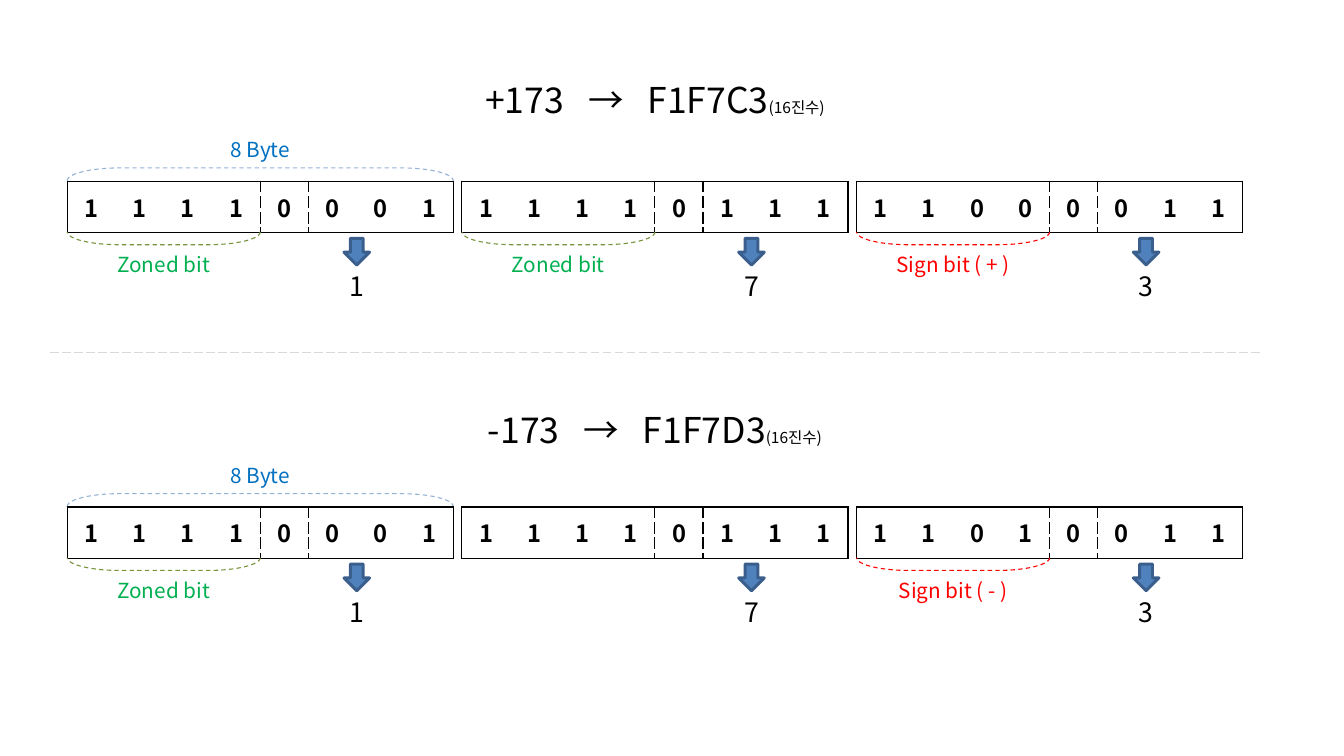
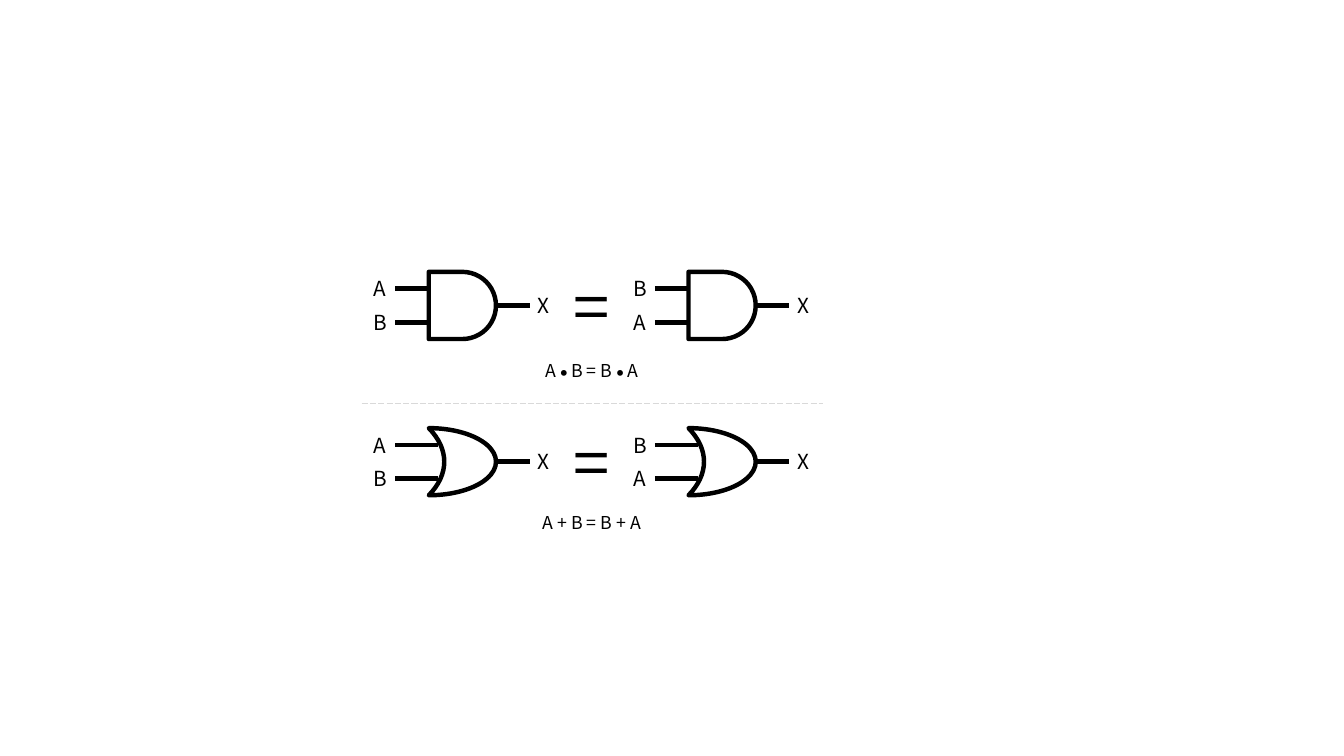
from lxml.etree import SubElement
from pptx import Presentation
from pptx.dml.color import RGBColor as Rgb
from pptx.enum.dml import MSO_LINE as Dash
from pptx.enum.shapes import MSO_CONNECTOR as Connector, MSO_SHAPE as Shape
from pptx.enum.text import MSO_ANCHOR as Anchor, MSO_AUTO_SIZE as AutoSize, PP_ALIGN as Align
from pptx.oxml.ns import qn
from pptx.util import Inches, Pt

COLUMNS, ROWS = 126, 70.9
CELL = Inches(0.1)
FONT, DOT_FONT = "Noto Sans CJK KR", "Cambria"
NO_TABLE_STYLE = "{2D5ABB26-0587-4C30-8999-92F81FD0307C}"
COLORS = {
    "ink": "000000", "rule": "D9D9D9", "byte": "0070C0", "zone": "00B050", "sign": "FF0000",
    "byte_brace": "95B3D7", "zone_brace": "77933C", "arrow": "4F81BD", "arrow_edge": "3A5F8C",
}
BYTE_LEFT, BYTE_STEP, BYTE_WIDTH, BYTE_HEIGHT = 6.3, 37, 36.2, 4.8
NIBBLE = BYTE_WIDTH / 2
BRACE_DEPTH = 1.2
GATE_LEFT, GATE_STEP, GATE_SIZE, LEAD = 40.2, 24.35, 6.3, 3.15
EQUALS_X = 55.5


def color(name):
    return Rgb.from_string(COLORS[name])


def cells(*lengths):
    return [round(length * CELL) for length in lengths]


class Sketch:
    """Draws styled elements on the current page, measured in grid cells."""

    def __init__(self):
        self.deck = Presentation()
        self.deck.slide_width, self.deck.slide_height = cells(COLUMNS, ROWS)
        self.page = None

    def new_page(self):
        self.page = self.deck.slides.add_slide(self.deck.slide_layouts[6])

    def style(self, span, size, ink="ink", font=FONT, bold=False):
        span.font.size, span.font.bold, span.font.name = Pt(size), bold, font
        span.font.color.rgb = color(ink)
        SubElement(span.font._element, qn("a:ea"), typeface=font)

    def span(self, para, text, size, font=FONT, spacing=0):
        span = para.add_run()
        span.text = text
        self.style(span, size, font=font)
        if spacing:
            span.font._element.set("spc", str(spacing))

    def label(self, center, middle, width, text, size, ink="ink"):
        height = size / 6 + 1
        box = self.page.shapes.add_textbox(
            *cells(center - width / 2, middle - height / 2, width, height))
        frame = box.text_frame
        frame.word_wrap, frame.auto_size = True, AutoSize.SHAPE_TO_FIT_TEXT
        frame.vertical_anchor = Anchor.MIDDLE
        frame.text = text
        para = frame.paragraphs[0]
        para.alignment = Align.CENTER
        for span in para.runs:
            self.style(span, size, ink)
        return para

    def outline(self, line, ink, weight, dash=None):
        line.color.rgb, line.width = color(ink), Pt(weight)
        if dash:
            line.dash_style = dash

    def shape(self, kind, left, top, width, height, ink, weight, fill=None, dash=None):
        shape = self.page.shapes.add_shape(kind, *cells(left, top, width, height))
        shape.shadow.inherit = False
        if fill:
            shape.fill.solid()
            shape.fill.fore_color.rgb = color(fill)
        else:
            shape.fill.background()
        self.outline(shape.line, ink, weight, dash)
        return shape

    def line(self, left, right, y, ink="ink", weight=3, dash=None):
        line = self.page.shapes.add_connector(Connector.STRAIGHT, *cells(left, y, right, y))
        self.outline(line.line, ink, weight, dash)
        SubElement(line._element.spPr, qn("a:effectLst"))

    def brace(self, left, top, width, ink, rotation):
        brace = self.shape(
            Shape.RIGHT_BRACKET, left + (width - BRACE_DEPTH) / 2,
            top + (BRACE_DEPTH - width) / 2, BRACE_DEPTH, width, ink, 0.75, dash=Dash.DASH)
        brace.rotation, brace.adjustments[0] = rotation, 4.1

    def border(self, cell, side, dash="solid"):
        edge = SubElement(cell._tc.get_or_add_tcPr(), qn(f"a:ln{side}"), w=str(Pt(1)))
        fill = SubElement(edge, qn("a:solidFill"))
        SubElement(fill, qn("a:srgbClr"), val=COLORS["ink"])
        SubElement(edge, qn("a:prstDash"), val=dash)

    def bits(self, left, top, digits):
        count = len(digits)
        table = self.page.shapes.add_table(
            1, count, *cells(left, top, BYTE_WIDTH, BYTE_HEIGHT)).table
        table.first_row = table.horz_banding = False
        table._tbl.tblPr[0].text = NO_TABLE_STYLE
        left_edges = {0: "solid", count // 2: "lgDash"}
        right_edges = {count // 2 - 1: "lgDash", count - 1: "solid"}
        for index, digit in enumerate(digits):
            cell = table.cell(0, index)
            cell.text, cell.vertical_anchor = digit, Anchor.MIDDLE
            para = cell.text_frame.paragraphs[0]
            para.alignment = Align.CENTER
            self.style(para.runs[0], 16, bold=True)
            for side, edges in (("L", left_edges), ("R", right_edges)):
                if index in edges:
                    self.border(cell, side, edges[index])
            for side in "TB":
                self.border(cell, side)
            cell.fill.background()

    def heading(self, middle, number, code):
        para = self.label(61.4, middle, 57, number, 24)
        for text, spacing in ((" ", 1075), ("→", 0), (" ", 1075), (code, 0)):
            self.span(para, text, 24, spacing=spacing)
        self.span(para, "(16진수)", 10.5)

    def zoned_number(self, top, parts):
        self.label(BYTE_LEFT + NIBBLE, top - 3, 10.4, "8 Byte", 14, "byte")
        self.brace(BYTE_LEFT, top - 1.25, BYTE_WIDTH, "byte_brace", 270)
        for index, (digits, value, caption, kind) in enumerate(parts):
            left = BYTE_LEFT + index * BYTE_STEP
            digit_center = left + NIBBLE * 1.5
            self.bits(left, top, digits)
            if caption:
                brace_ink = "zone_brace" if kind == "zone" else kind
                self.brace(left, top + 4.75, NIBBLE, brace_ink, 90)
                self.label(left + NIBBLE / 2, top + 7.8, 13.8, caption, 14, kind)
            self.shape(Shape.DOWN_ARROW, digit_center - 1.2, top + 5.35, 2.4, 2.5,
                       "arrow_edge", 2, fill="arrow")
            self.label(digit_center, top + 9.8, 6.4, value, 18)

    def gate(self, kind, left, middle, inputs):
        is_or = kind == Shape.MOON
        gate = self.shape(kind, left, middle - GATE_SIZE / 2, GATE_SIZE, GATE_SIZE, "ink", 3)
        if is_or:
            gate.rotation, gate.adjustments[0] = 180, 0.77
        for name, offset in zip(inputs, (-1.58, 1.58)):
            self.line(left - LEAD, left + 0.9 * is_or, middle + offset)
            self.label(left - 4.55, middle + offset, 3.5, name, 14)
        right = left + GATE_SIZE
        self.line(right, right + LEAD, middle)
        self.label(right + 4.45, middle, 3.5, "X", 14)

    def commutative_law(self, kind, middle):
        for index, inputs in enumerate(("AB", "BA")):
            self.gate(kind, GATE_LEFT + index * GATE_STEP, middle, inputs)
        self.label(EQUALS_X, middle, 7.6, "=", 44)


def zoned_decimal_page(sketch):
    numbers = (
        (17, 9.3, "+173", "F1F7C3", "11000011", "Sign bit ( + )", "Zoned bit"),
        (47.55, 40.3, "-173", "F1F7D3", "11010011", "Sign bit ( - )", None),
    )
    sketch.new_page()
    for top, heading_middle, number, code, last_byte, sign, second_caption in numbers:
        sketch.heading(heading_middle, number, code)
        sketch.zoned_number(top, (
            ("11110001", "1", "Zoned bit", "zone"),
            ("11110111", "7", second_caption, "zone"),
            (last_byte, "3", sign, "sign"),
        ))
    sketch.line(4.7, 118.1, 33.1, "rule", 0.75, Dash.LONG_DASH)


def gates_page(sketch):
    sketch.new_page()
    sketch.commutative_law(Shape.FLOWCHART_DELAY, 28.65)
    product = sketch.label(EQUALS_X, 34.7, 16.3, "A ", 12)
    for text, font in (("⦁ ", DOT_FONT), ("B = B ", FONT), ("⦁", DOT_FONT), (" A", FONT)):
        sketch.span(product, text, 12, font)
    sketch.commutative_law(Shape.MOON, 43.3)
    sketch.label(EQUALS_X, 49, 16.3, "A + B = B + A", 12)
    sketch.line(33.9, 77.2, 37.8, "rule", 0.5, Dash.LONG_DASH)


def main():
    sketch = Sketch()
    zoned_decimal_page(sketch)
    gates_page(sketch)
    sketch.deck.save("out.pptx")


if __name__ == "__main__":
    main()
